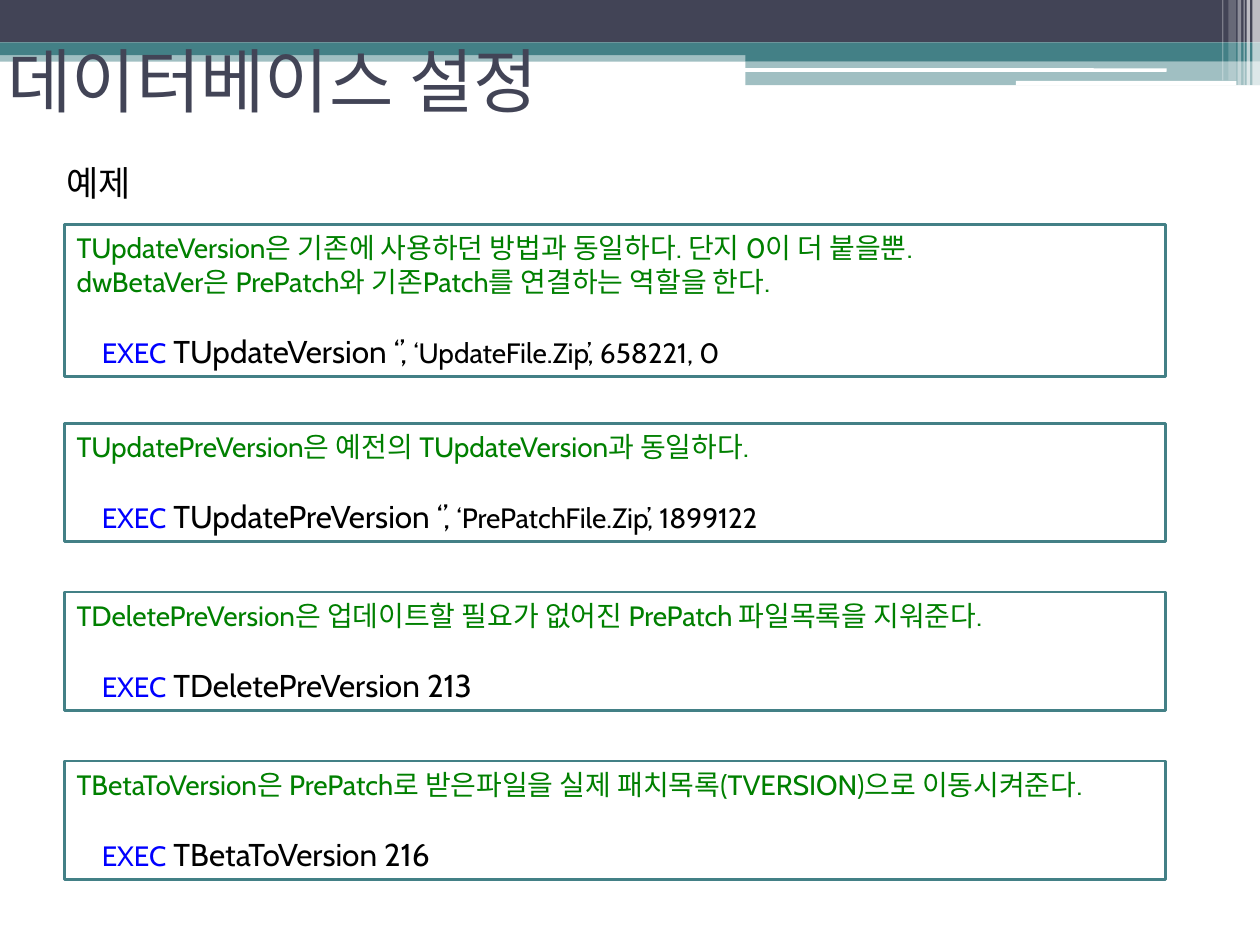
from lxml.etree import SubElement
from pptx import Presentation
from pptx.dml.color import RGBColor
from pptx.enum.shapes import MSO_SHAPE
from pptx.enum.text import MSO_ANCHOR, MSO_AUTO_SIZE, PP_ALIGN
from pptx.oxml.ns import qn
from pptx.util import Pt

FONT = "Cabin"
NAVY, TEAL, WHITE, BLACK = "424456", "438086", "FFFFFF", "000000"
GREEN, BLUE = "008000", "0000FF"

# Content
TITLE = "데이터베이스 설정"
SUBTITLE = "예제"

# Each example: comment lines, procedure call, arguments
EXAMPLES = [
    (["TUpdateVersion은 기존에 사용하던 방법과 동일하다. 단지 0이 더 붙을뿐.",
      "dwBetaVer은 PrePatch와 기존Patch를 연결하는 역할을 한다."],
     " TUpdateVersion ‘’,", " ‘UpdateFile.Zip’, 658221, 0"),
    (["TUpdatePreVersion은 예전의 TUpdateVersion과 동일하다."],
     " TUpdatePreVersion ‘’,", " ‘PrePatchFile.Zip’, 1899122"),
    (["TDeletePreVersion은 업데이트할 필요가 없어진 PrePatch 파일목록을 지워준다."],
     " TDeletePreVersion 213", ""),
    (["TBetaToVersion은 PrePatch로 받은파일을 실제 패치목록(TVERSION)으로 이동시켜준다."],
     " TBetaToVersion 216", ""),
]

# Header bands: left, top, width, height, colour, opacity in percent
BANDS = [
    (0, 28.8, 720, 6.5, TEAL, 50),
    (0, 0, 720, 24.3, NAVY, 100),
    (0, 24.3, 720, 7.2, TEAL, 100),
    (426, 28, 294, 7, TEAL, 100),
    (426, 34.7, 294, 14, TEAL, 50),
]
ROUNDED_BARS = [
    (425.5, 39, 241.2, 2, WHITE, 100),
    (580.5, 46.2, 126, 2.6, WHITE, 100),
]
# Stripes at the right edge: left, width, height, opacity
STRIPES = [
    (715.6, 4.4, 49, 65), (712.3, 2, 49, 65), (710.6, 0.7, 49, 60),
    (707.2, 2, 49, 40), (702, 4.3, 46, 20), (698.4, 0.7, 46, 30),
]

BOX_LEFT, BOX_WIDTH = 36.7, 629.3
LAST_BOTTOM, BOX_PITCH = 502.6, 96.5
FIRST_TOP = 128.2
LINE_HEIGHT, BOX_HEIGHT = 19.4, 67.7


def colour(value):
    return RGBColor.from_string(value)


def add_block(page, left, top, width, height, fill, opacity=100, kind=MSO_SHAPE.RECTANGLE):
    block = page.shapes.add_shape(kind, Pt(left), Pt(top), Pt(width), Pt(height))
    block.shadow.inherit = False
    block.fill.solid()
    block.fill.fore_color.rgb = colour(fill)
    block.line.fill.background()
    if opacity < 100:
        tint = block.fill._xPr.find(qn("a:solidFill"))[0]
        SubElement(tint, qn("a:alpha"), val=str(opacity * 1000))
    return block


def add_span(para, text, size=16, color=BLACK):
    span = para.add_run()
    span.text = text
    span.font.name = FONT
    span.font.size = Pt(size)
    span.font.color.rgb = colour(color)
    para.alignment = PP_ALIGN.LEFT


def add_example(page, top, height, comments, call, arguments):
    box = add_block(page, BOX_LEFT, top, BOX_WIDTH, height, WHITE)
    box.line.color.rgb = colour(TEAL)
    box.line.width = Pt(1.5)
    frame = box.text_frame
    frame.word_wrap = True
    frame.vertical_anchor = MSO_ANCHOR.TOP
    for number, comment in enumerate(comments):
        para = frame.add_paragraph() if number else frame.paragraphs[0]
        add_span(para, comment, color=GREEN)
    # The call stands one line below, indented
    para = frame.add_paragraph()
    para.space_before = Pt(LINE_HEIGHT)
    para._p.get_or_add_pPr().set("marL", str(Pt(14.4)))
    add_span(para, "EXEC", color=BLUE)
    add_span(para, call, size=18)
    if arguments:
        add_span(para, arguments)


def main():
    deck = Presentation()
    deck.slide_width, deck.slide_height = Pt(720), Pt(540)
    page = deck.slides.add_slide(deck.slide_layouts[5])

    # Header
    for band in BANDS:
        add_block(page, *band)
    for bar in ROUNDED_BARS:
        add_block(page, *bar, kind=MSO_SHAPE.ROUNDED_RECTANGLE)
    for left, width, height, opacity in STRIPES:
        add_block(page, left, 0, width, height, WHITE, opacity)

    # Title, in front of the header
    title = page.shapes.title
    title.left, title.top, title.width, title.height = Pt(-2.9), Pt(3.6), Pt(648), Pt(84.2)
    title.text_frame.auto_size = MSO_AUTO_SIZE.NONE
    title.text_frame.vertical_anchor = MSO_ANCHOR.MIDDLE
    add_span(title.text_frame.paragraphs[0], TITLE, size=40, color=NAVY)
    page.shapes._spTree.append(title._element)

    # Subtitle
    label = page.shapes.add_textbox(Pt(31), Pt(88.6), Pt(260.6), Pt(31.7))
    label.text_frame.word_wrap = True
    add_span(label.text_frame.paragraphs[0], SUBTITLE, size=20)

    # Examples: the first box is taller, the others are evenly spaced up from the last
    for number, (comments, call, arguments) in enumerate(EXAMPLES):
        height = BOX_HEIGHT + LINE_HEIGHT * (len(comments) - 1)
        steps_left = len(EXAMPLES) - 1 - number
        top = LAST_BOTTOM - BOX_HEIGHT - BOX_PITCH * steps_left if number else FIRST_TOP
        add_example(page, top, height, comments, call, arguments)

    deck.save("out.pptx")


if __name__ == "__main__":
    main()
